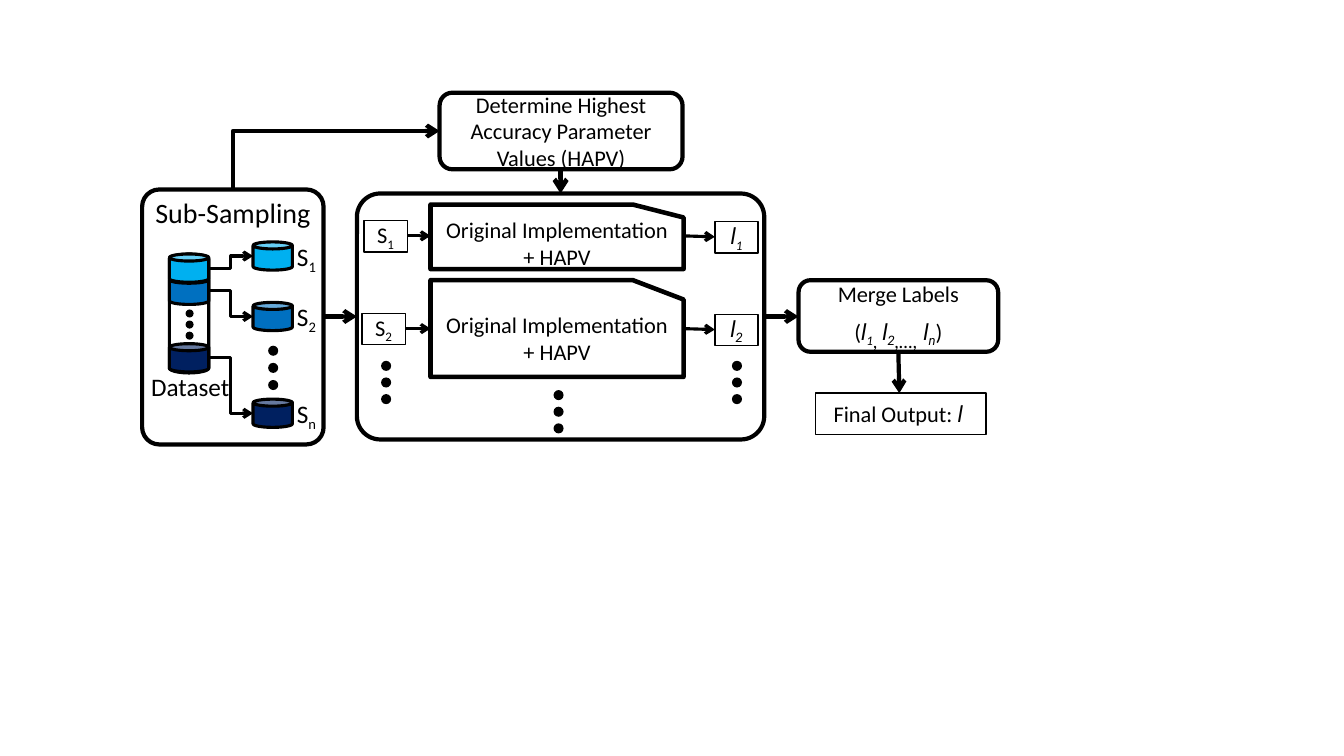
from dataclasses import dataclass

from lxml import etree
from pptx import Presentation
from pptx.dml.color import RGBColor
from pptx.enum.shapes import MSO_CONNECTOR, MSO_SHAPE
from pptx.enum.text import MSO_ANCHOR, PP_ALIGN
from pptx.oxml.ns import qn
from pptx.util import Inches, Pt

RECT, ROUND = MSO_SHAPE.RECTANGLE, MSO_SHAPE.ROUNDED_RECTANGLE
CAN, OVAL, CARD = MSO_SHAPE.CAN, MSO_SHAPE.OVAL, MSO_SHAPE.FLOWCHART_CARD
STRAIGHT, ELBOW = MSO_CONNECTOR.STRAIGHT, MSO_CONNECTOR.ELBOW
LEFT, CENTER = PP_ALIGN.LEFT, PP_ALIGN.CENTER
MIDDLE = MSO_ANCHOR.MIDDLE


@dataclass(frozen=True)
class Theme:
    ink: str = "000000"
    paper: str = "FFFFFF"
    sample_1: str = "00B0F0"
    sample_2: str = "0070C0"
    sample_n: str = "002060"
    font: str = "Calibri"
    label_font: str = "Roboto"
    body: int = 16
    caption: int = 18
    title: int = 20
    separator: int = 24
    thin: float = 1
    medium: float = 2.25
    thick: float = 3
    heavy: float = 3.25


THEME = Theme()


@dataclass(frozen=True)
class Run:
    text: str
    size: int = THEME.body
    font: str = THEME.font
    italic: bool = False
    sub: bool = False


def label_runs(index, index_font=THEME.label_font, lead=""):
    """An italic l with a subscript index."""
    return [Run(lead + "l", font=THEME.label_font, italic=True),
            Run(index, font=index_font, italic=True, sub=True)]


def sample_runs(index, size=THEME.body):
    return [Run("S", size), Run(index, size, sub=True)]


class Diagram:
    def __init__(self, slide, theme):
        self.shapes = slide.shapes
        self.theme = theme

    def add_text(self, frame, paragraphs, align=CENTER):
        frame.word_wrap = True
        for number, runs in enumerate(paragraphs):
            paragraph = frame.add_paragraph() if number else frame.paragraphs[0]
            paragraph.alignment = align
            for part in runs:
                run = paragraph.add_run()
                run.text = part.text
                run.font.size = Pt(part.size)
                run.font.name = part.font
                run.font.italic = part.italic
                run.font.color.rgb = RGBColor.from_string(self.theme.ink)
                if part.sub:
                    run.font._element.set("baseline", "-25000")

    def caption(self, left, top, width, height, runs, align=CENTER):
        holder = self.shapes.add_textbox(*map(Inches, (left, top, width, height)))
        self.add_text(holder.text_frame, [runs], align)

    def shape(self, kind, left, top, width, height, line=None, fill=None,
              paragraphs=(), corner=None):
        shape = self.shapes.add_shape(kind, *map(Inches, (left, top, width, height)))
        shape.shadow.inherit = False
        if fill:
            shape.fill.solid()
            shape.fill.fore_color.rgb = RGBColor.from_string(fill)
        else:
            shape.fill.background()
        if line:
            shape.line.color.rgb = RGBColor.from_string(self.theme.ink)
            shape.line.width = Pt(line)
        else:
            shape.line.fill.background()
        if corner:
            shape.adjustments[0] = corner
        shape.text_frame.vertical_anchor = MIDDLE
        self.add_text(shape.text_frame, paragraphs)
        return shape

    def can(self, left, top, fill, height=0.28):
        self.shape(CAN, left, top, 0.39, height, self.theme.medium, fill)

    def implementation(self, top, height):
        card = self.shape(CARD, 4.27, top, 2.51, height, self.theme.heavy, self.theme.paper,
                          [[Run("Original Implementation + HAPV")]])
        card._element.spPr.find(qn("a:xfrm")).set("flipH", "1")

    def dots(self, left, top, pitch, size=0.1):
        """A vertical ellipsis of three dots."""
        for number in range(3):
            self.shape(OVAL, left, top + number * pitch, size, size, fill=self.theme.ink)

    def arrow(self, start, end, width, kind=STRAIGHT):
        connector = self.shapes.add_connector(kind, *map(Inches, (*start, *end)))
        connector.line.color.rgb = RGBColor.from_string(self.theme.ink)
        connector.line.width = Pt(width)
        line = connector.line._get_or_add_ln()
        etree.SubElement(line, qn("a:tailEnd"), type="arrow")
        etree.SubElement(connector._element.spPr, qn("a:effectLst"))
        return connector

    def corner_arrow(self, start, end, width):
        """Goes up from start, then right to end: a one-bend connector turned by 90 degrees."""
        center_x, center_y = (start[0] + end[0]) / 2, (start[1] + end[1]) / 2
        half_run, half_rise = (end[0] - start[0]) / 2, (start[1] - end[1]) / 2
        connector = self.arrow((center_x + half_rise, center_y + half_run),
                               (center_x - half_rise, center_y - half_run), width, ELBOW)
        properties = connector._element.spPr
        properties.find(qn("a:prstGeom")).set("prst", "bentConnector2")
        properties.find(qn("a:xfrm")).set("rot", "5400000")


def draw_sampling(diagram, theme):
    diagram.shape(ROUND, 1.41, 1.88, 1.8, 2.53, theme.thick, corner=0.095)
    diagram.caption(1.35, 1.89, 1.92, 0.44, [Run("Sub-Sampling", theme.title)])
    diagram.caption(1.4, 3.63, 0.99, 0.4, [Run("Dataset", theme.caption)], LEFT)

    diagram.can(1.68, 2.52, theme.paper, height=1.18)
    samples = [("2", theme.sample_2, 2.74, 3.0), ("1", theme.sample_1, 2.52, 2.4),
               ("n", theme.sample_n, 3.41, 3.96)]
    for index, color, slice_top, sample_top in samples:
        diagram.can(1.68, slice_top, color)
        diagram.can(2.51, sample_top, color)
        diagram.caption(2.76, sample_top - 0.06, 0.56, 0.4, sample_runs(index, theme.caption))
        diagram.arrow((2.07, slice_top + 0.14), (2.51, sample_top + 0.14), theme.medium, ELBOW)
    diagram.dots(1.84, 3.07, 0.11, size=0.08)
    diagram.dots(2.66, 3.43, 0.17)


def draw_implementations(diagram, theme):
    diagram.shape(ROUND, 3.54, 1.92, 4.04, 2.44, theme.thick, corner=0.095)
    rows = [("1", 2.03, 0.64, 2.34, 3.61, theme.font),
            ("2", 2.78, 0.96, 3.26, 3.59, theme.label_font)]
    for index, top, height, axis, sample_left, index_font in rows:
        diagram.implementation(top, height)
        diagram.shape(RECT, sample_left, axis - 0.15, 0.43, 0.31, theme.thin,
                      paragraphs=[sample_runs(index)])
        diagram.shape(RECT, 7.09, axis - 0.14, 0.43, 0.31, theme.thin,
                      paragraphs=[label_runs(index, index_font)])
        diagram.arrow((sample_left + 0.43, axis), (4.27, axis), theme.medium)
        diagram.arrow((6.77, axis), (7.09, axis + 0.01), theme.medium)
    for left, top in [(3.78, 3.58), (5.49, 3.87), (7.26, 3.58)]:
        diagram.dots(left, top, 0.165)


def draw_results(diagram, theme):
    merged = [Run("("), *label_runs("1", theme.font),
              Run(", ", theme.separator, italic=True, sub=True), *label_runs("2"),
              Run(",…,", theme.separator, italic=True, sub=True),
              *label_runs("n", lead=" "), Run(")")]
    diagram.shape(ROUND, 4.36, 0.92, 2.41, 0.76, theme.thick,
                  paragraphs=[[Run("Determine Highest Accuracy Parameter Values (HAPV)")]])
    diagram.shape(ROUND, 7.92, 2.78, 1.98, 0.71, theme.thick,
                  paragraphs=[[Run("Merge Labels")], merged])
    diagram.shape(RECT, 8.09, 3.9, 1.69, 0.41, theme.thin,
                  paragraphs=[[Run("Final Output: "),
                               Run("l ", font=theme.label_font, italic=True)]])


def draw_flow(diagram, theme):
    diagram.corner_arrow((2.31, 1.88), (4.36, 1.3), theme.thick)
    diagram.arrow((5.56, 1.67), (5.56, 1.92), theme.heavy)
    diagram.arrow((3.21, 3.14), (3.54, 3.14), theme.thick)
    diagram.arrow((7.58, 3.14), (7.92, 3.14), theme.thick)
    diagram.arrow((8.91, 3.49), (8.92, 3.9), theme.thick)


def main():
    deck = Presentation()
    deck.slide_width, deck.slide_height = Inches(13.33), Inches(7.5)
    diagram = Diagram(deck.slides.add_slide(deck.slide_layouts[6]), THEME)
    for draw in (draw_sampling, draw_implementations, draw_results, draw_flow):
        draw(diagram, THEME)
    deck.save("out.pptx")


if __name__ == "__main__":
    main()
